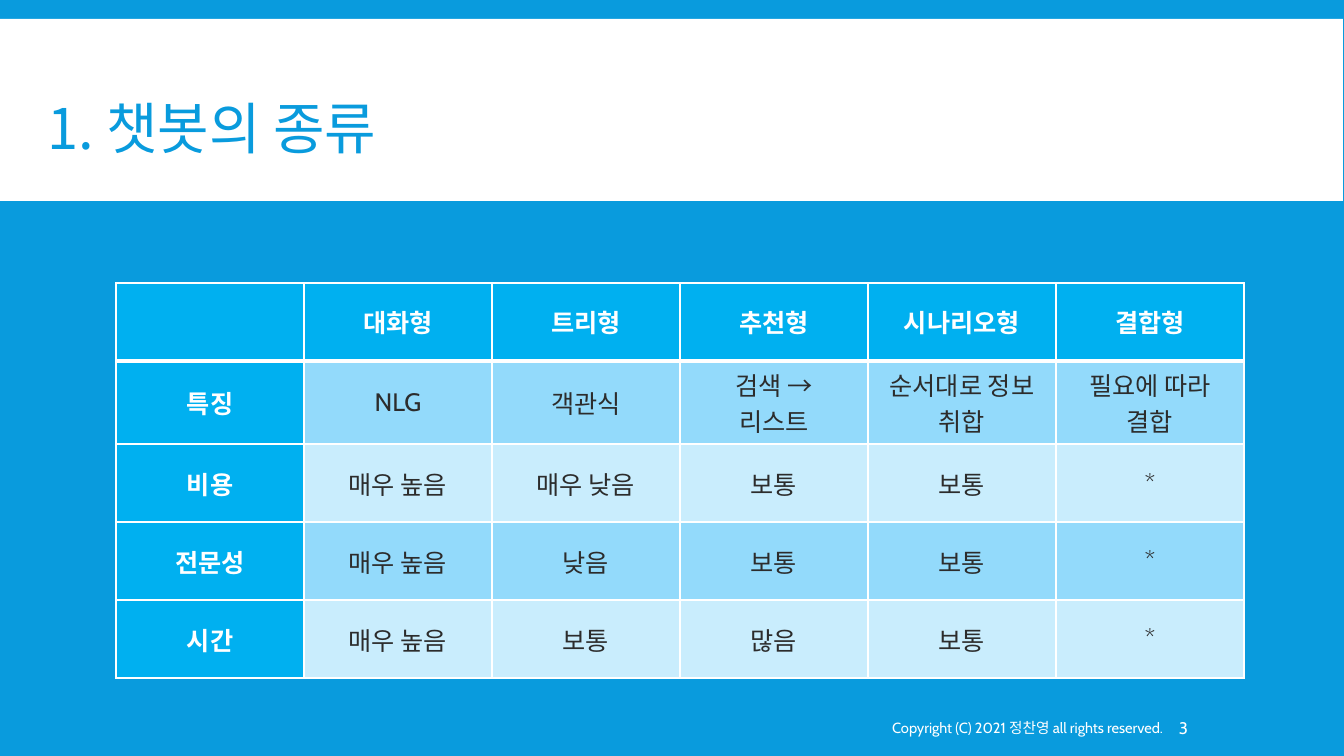
from pptx import Presentation
from pptx.dml.color import RGBColor
from pptx.enum.shapes import MSO_SHAPE
from pptx.enum.text import MSO_ANCHOR, MSO_AUTO_SIZE, PP_ALIGN
from pptx.oxml.ns import qn
from pptx.util import Emu, Pt
from lxml.etree import SubElement

SCALE = 914400 / 100.8
COLORS = {
    "page": "099BDD",
    "white": "FFFFFF",
    "header": "00B0F0",
    "odd": "93DAFB",
    "even": "C9EDFD",
    "ink": "2C2C2C",
}
LATIN = "Cabin"
KOREAN = "Noto Sans CJK KR"
CHATBOT_TYPES = [
    ["", "대화형", "트리형", "추천형", "시나리오형", "결합형"],
    ["특징", "NLG", "객관식", "검색 →\n리스트", "순서대로 정보 취합", "필요에 따라 결합"],
    ["비용", "매우 높음", "매우 낮음", "보통", "보통", "*"],
    ["전문성", "매우 높음", "낮음", "보통", "보통", "*"],
    ["시간", "매우 높음", "보통", "많음", "보통", "*"],
]


def px(*lengths):
    return [Emu(round(length * SCALE)) for length in lengths]


def color(name):
    return RGBColor.from_string(COLORS[name])


def write(frame, text, size, ink="white", font=LATIN, bold=False,
          align=PP_ALIGN.LEFT, spacing=None):
    for index, line in enumerate(text.split("\n")):
        para = frame.paragraphs[0] if index == 0 else frame.add_paragraph()
        para.alignment = align
        para.line_spacing = spacing
        span = para.add_run()
        span.text = line
        span.font.size = Pt(size)
        span.font.bold = bold
        span.font.name = font
        span.font.color.rgb = color(ink)
        SubElement(span.font._element, qn("a:ea"), typeface=KOREAN)


def add_band(page, *place):
    band = page.shapes.add_shape(MSO_SHAPE.RECTANGLE, *px(*place))
    band.shadow.inherit = False
    band.fill.solid()
    band.fill.fore_color.rgb = color("white")
    band.line.fill.background()


def place_title(page, text, *place):
    title = page.shapes.title
    title.left, title.top, title.width, title.height = px(*place)
    frame = title.text_frame
    frame.auto_size = MSO_AUTO_SIZE.NONE
    frame.vertical_anchor = MSO_ANCHOR.MIDDLE
    write(frame, text, 40, ink="page", font=KOREAN, spacing=0.85)
    page.shapes._spTree.append(title._element)


def add_text(page, text, size, *place, inset=10, align=PP_ALIGN.LEFT):
    box = page.shapes.add_textbox(*px(*place))
    frame = box.text_frame
    frame.word_wrap = True
    frame.vertical_anchor = MSO_ANCHOR.MIDDLE
    frame.margin_left = px(inset)[0]
    write(frame, text, size, align=align)


def set_borders(cell, widths):
    properties = cell._tc.get_or_add_tcPr()
    for index, (side, width) in enumerate(widths.items()):
        line = properties.makeelement(qn(f"a:{side}"), {"w": str(Pt(width))})
        fill = SubElement(line, qn("a:solidFill"))
        SubElement(fill, qn("a:srgbClr"), val=COLORS["white"])
        properties.insert(index, line)


def add_grid(page, rows, left, top, column_width, row_height):
    row_count, column_count = len(rows), len(rows[0])
    place = px(left, top, column_width * column_count, row_height * row_count)
    table = page.shapes.add_table(row_count, column_count, *place).table
    table.first_col = True
    for column in table.columns:
        column.width = px(column_width)[0]
    for r, texts in enumerate(rows):
        table.rows[r].height = px(row_height)[0]
        for c, text in enumerate(texts):
            cell = table.cell(r, c)
            heading = r == 0 or c == 0
            cell.vertical_anchor = MSO_ANCHOR.MIDDLE
            cell.fill.solid()
            cell.fill.fore_color.rgb = color(
                "header" if heading else "odd" if r % 2 else "even")
            set_borders(cell, {"lnL": 1, "lnR": 1, "lnT": 3 if r == 1 else 1,
                               "lnB": 3 if r == 0 else 1})
            if text:
                write(cell.text_frame, text, 18, "white" if heading else "ink",
                      bold=heading, align=PP_ALIGN.CENTER)


def main():
    deck = Presentation()
    deck.slide_width, deck.slide_height = px(1344, 756)
    page = deck.slides.add_slide(deck.slide_layouts[5])
    page.background.fill.solid()
    page.background.fill.fore_color.rgb = color("page")

    add_band(page, 0, 19, 1343, 182)
    place_title(page, "1. 챗봇의 종류", 37, 85, 974, 95)
    add_grid(page, CHATBOT_TYPES, 116, 283, 188, 78)
    add_text(page, "Copyright (C) 2021 정찬영 all rights reserved.", 10.5,
             617, 708, 556, 40, align=PP_ALIGN.RIGHT)
    add_text(page, "3", 12, 1174, 708, 104, 40, inset=5)

    deck.save("out.pptx")


main()
